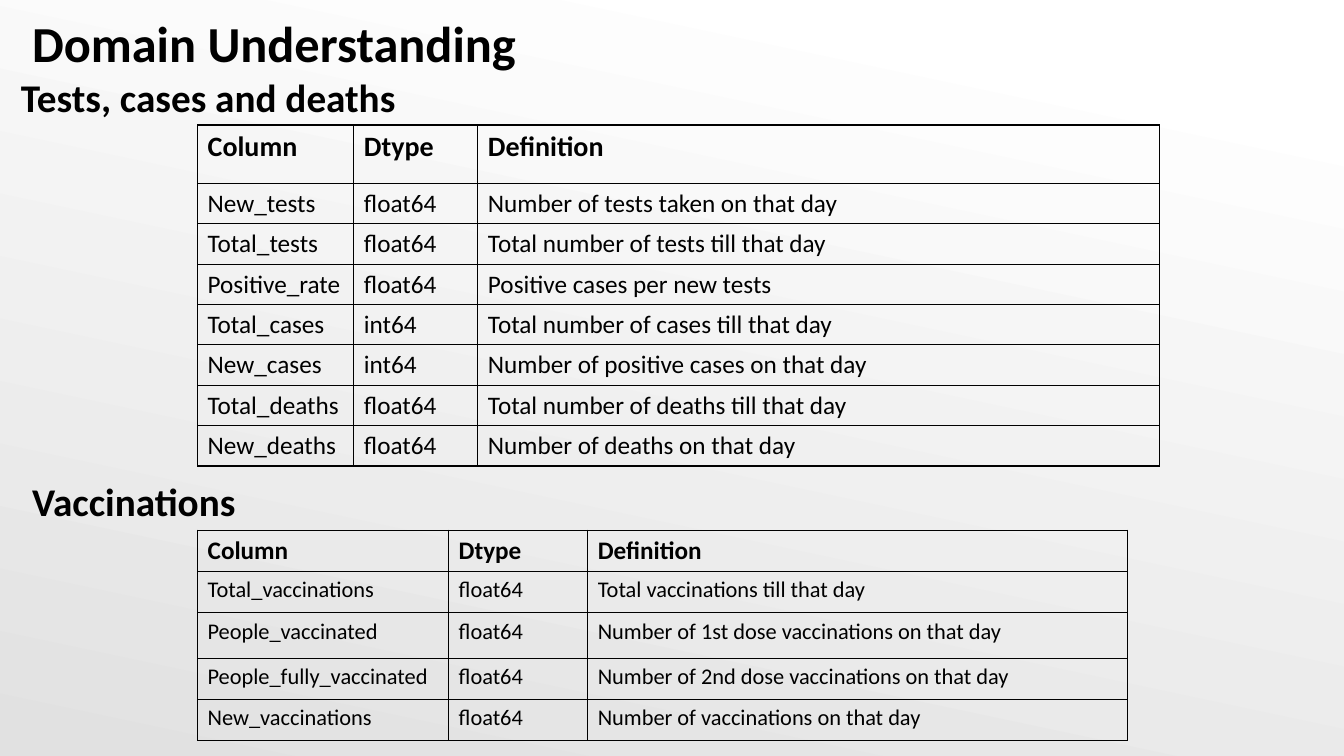
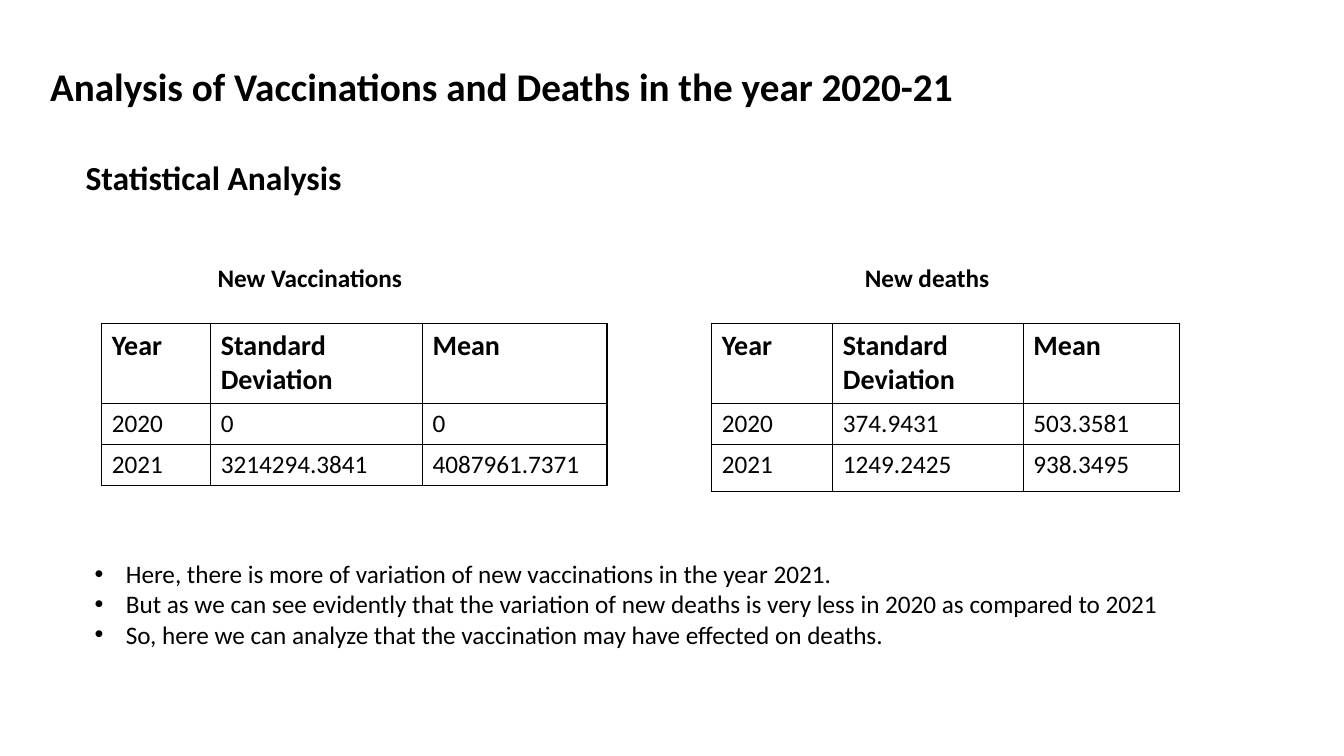
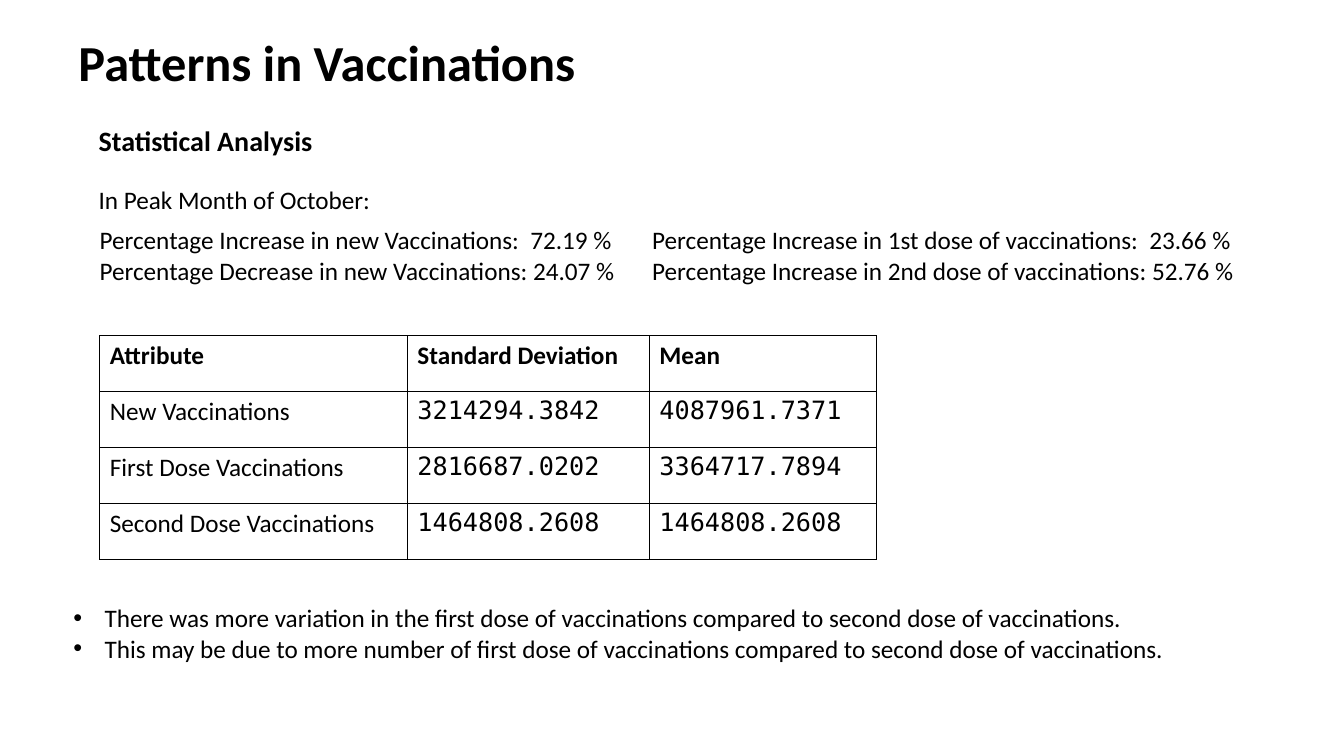
from collections import namedtuple

from lxml import etree
from pptx import Presentation
from pptx.dml.color import RGBColor
from pptx.enum.text import MSO_ANCHOR
from pptx.oxml.ns import qn
from pptx.util import Emu, Pt

TOP, MIDDLE = MSO_ANCHOR.TOP, MSO_ANCHOR.MIDDLE
PX = 9144  # 100 px to the inch
PAGE_WIDTH, PAGE_HEIGHT = 1333, 750
FONT, MONO = "Calibri", "DejaVu Sans Mono"
BLACK, WHITE, GREY = "000000", "FFFFFF", "E1E1E1"
BULLET_INDENT = 31

Box = namedtuple("Box", "left top width height")
PAGE = Box(0, 0, PAGE_WIDTH, PAGE_HEIGHT)


def px(length):
    return Emu(length * PX)


def color(value):
    return RGBColor.from_string(value)


def inside(box, left, top, width, height):
    return Box(box.left + left, box.top + top, width, height)


def write(frame, text, size=18, bold=False, font=FONT, bullet=False, spacing=None):
    """Fill a text frame with one paragraph for each line of text."""
    for number, line in enumerate(text.split("\n")):
        para = frame.add_paragraph() if number else frame.paragraphs[0]
        if spacing:
            para.line_spacing = spacing
        if bullet:
            properties = para._p.get_or_add_pPr()
            properties.set("marL", str(px(BULLET_INDENT)))
            properties.set("indent", str(px(-BULLET_INDENT)))
            etree.SubElement(properties, qn("a:buFont"), typeface="Arial")
            etree.SubElement(properties, qn("a:buChar"), char="•")
        span = para.add_run()
        span.text = line
        span.font.name = font
        span.font.size = Pt(size)
        span.font.bold = bold
        span.font.color.rgb = color(BLACK)


def add_text(page, box, text, anchor=TOP, **style):
    frame = page.shapes.add_textbox(*map(px, box)).text_frame
    frame.word_wrap = True
    frame.vertical_anchor = anchor
    write(frame, text, **style)


def add_title(page, box, text, size=36):
    add_text(page, box, text, anchor=MIDDLE, size=size, bold=True, spacing=0.9)


def add_borders(cell):
    properties = cell._tc.get_or_add_tcPr()
    for side in ("a:lnL", "a:lnR", "a:lnT", "a:lnB"):
        line = etree.SubElement(properties, qn(side), w=str(Pt(1)))
        fill = etree.SubElement(line, qn("a:solidFill"))
        etree.SubElement(fill, qn("a:srgbClr"), val=BLACK)


def add_grid(page, left, top, widths, heights, rows, head_size=18, body_size=18, number_font=FONT):
    """Draw a ruled table with a bold first row."""
    box = Box(left, top, sum(widths), sum(heights))
    table = page.shapes.add_table(len(rows), len(widths), *map(px, box)).table
    table.first_row = table.horz_banding = False
    for column, width in zip(table.columns, widths):
        column.width = px(width)
    for row_number, (row, height, texts) in enumerate(zip(table.rows, heights, rows)):
        row.height = px(height)
        head = row_number == 0
        for column_number, (cell, text) in enumerate(zip(row.cells, texts)):
            add_borders(cell)
            cell.fill.background()
            write(cell.text_frame, text, size=head_size if head else body_size, bold=head,
                  font=FONT if head or column_number == 0 else number_font)


def add_page(deck):
    page = deck.slides.add_slide(deck.slide_layouts[6])
    fill = page.background.fill
    fill.solid()
    fill.fore_color.rgb = color(WHITE)
    return page


def shade_page(page):
    fill = page.background.fill
    fill.gradient()
    fill.gradient_angle = 258
    for stop, position, value in zip(fill.gradient_stops, (0.1, 1), (WHITE, GREY)):
        stop.position = position
        stop.color.rgb = color(value)


# Regions
def add_definitions(page, box, heading, widths, heights, rows, indent, grid_top, **sizes):
    """Heading with a table of column definitions below it."""
    add_text(page, inside(box, 0, 0, 476, 57), heading, size=28, bold=True)
    add_grid(page, box.left + indent, box.top + grid_top, widths, heights,
             [("Column", "Dtype", "Definition")] + rows, **sizes)


def add_yearly_statistics(page, box, heading, heading_left, widths, heights, rows):
    """Caption with a table of yearly figures below it."""
    add_text(page, inside(box, heading_left, 0, 300, 40), heading, bold=True)
    add_grid(page, box.left, box.top + 66, widths, heights,
             [("Year", "Standard Deviation", "Mean")] + rows, head_size=20)


# Slides
def add_domain_page(deck, box):
    page = add_page(deck)
    shade_page(page)
    add_text(page, inside(box, 22, 7, 674, 71), "Domain Understanding", size=36, bold=True)
    add_definitions(
        page, inside(box, 11, 68, 1140, 394), "Tests, cases and deaths",
        (155, 123, 676), [58] + [40] * 7,
        [("New_tests", "float64", "Number of tests taken on that day"),
         ("Total_tests", "float64", "Total number of tests till that day"),
         ("Positive_rate", "float64", "Positive cases per new tests"),
         ("Total_cases", "int64", "Total number of cases till that day"),
         ("New_cases", "int64", "Number of positive cases on that day"),
         ("Total_deaths", "float64", "Total number of deaths till that day"),
         ("New_deaths", "float64", "Number of deaths on that day")],
        indent=185, grid_top=56, head_size=20)
    add_definitions(
        page, inside(box, 22, 469, 1096, 266), "Vaccinations",
        (249, 138, 535), (41, 41, 45, 41, 41),
        [("Total_vaccinations", "float64", "Total vaccinations till that day"),
         ("People_vaccinated", "float64", "Number of 1st dose vaccinations on that day"),
         ("People_fully_vaccinated", "float64", "Number of 2nd dose vaccinations on that day"),
         ("New_vaccinations", "float64", "Number of vaccinations on that day")],
        indent=174, grid_top=57, body_size=16)


def add_deaths_page(deck, box):
    page = add_page(deck)
    add_title(page, inside(box, 40, 37, 1150, 103),
              "Analysis of Vaccinations and Deaths in the year 2020-21", size=28)
    add_text(page, inside(box, 75, 151, 300, 50), "Statistical Analysis", size=24, bold=True)
    add_yearly_statistics(
        page, inside(box, 101, 255, 501, 230), "New Vaccinations", 105,
        (108, 210, 183), (79, 41, 41),
        [("2020", "0", "0"), ("2021", "3214294.3841", "4087961.7371")])
    add_yearly_statistics(
        page, inside(box, 706, 255, 464, 230), "New deaths", 142,
        (120, 189, 155), (79, 41, 47),
        [("2020", "374.9431", "503.3581"), ("2021", "1249.2425", "938.3495")])
    add_text(page, inside(box, 84, 549, 1156, 101),
             "Here, there is more of variation of new vaccinations in the year 2021.\n"
             "But as we can see evidently that the variation of new deaths is very less in 2020 "
             "as compared to 2021\n"
             "So, here we can analyze that the vaccination may have effected on deaths.",
             bullet=True)


def add_patterns_page(deck, box):
    page = add_page(deck)
    add_title(page, inside(box, 68, 26, 884, 77), "Patterns in Vaccinations")
    add_text(page, inside(box, 88, 118, 300, 44), "Statistical Analysis", size=20, bold=True)
    add_text(page, inside(box, 88, 178, 317, 40), "In Peak Month of October:")
    add_text(page, inside(box, 89, 218, 536, 71),
             "Percentage Increase in new Vaccinations:  72.19 %\n"
             "Percentage Decrease in new Vaccinations: 24.07 %")
    add_text(page, inside(box, 637, 218, 611, 71),
             "Percentage Increase in 1st dose of vaccinations:  23.66 %\n"
             "Percentage Increase in 2nd dose of vaccinations: 52.76 %")
    add_grid(page, box.left + 99, box.top + 333, (305, 240, 225), [55.5] * 4,
             [("Attribute", "Standard Deviation", "Mean"),
              ("New Vaccinations", "3214294.3842", "4087961.7371"),
              ("First Dose Vaccinations", "2816687.0202", "3364717.7894"),
              ("Second Dose Vaccinations", "1464808.2608", "1464808.2608")],
             number_font=MONO)
    add_text(page, inside(box, 63, 593, 1190, 71),
             "There was more variation in the first dose of vaccinations compared to second dose "
             "of vaccinations.\n"
             "This may be due to more number of first dose of vaccinations compared to second dose "
             "of vaccinations.",
             bullet=True)


def main():
    deck = Presentation()
    deck.slide_width, deck.slide_height = px(PAGE_WIDTH), px(PAGE_HEIGHT)
    for add_slide in (add_domain_page, add_deaths_page, add_patterns_page):
        add_slide(deck, PAGE)
    deck.save("out.pptx")


if __name__ == "__main__":
    main()
